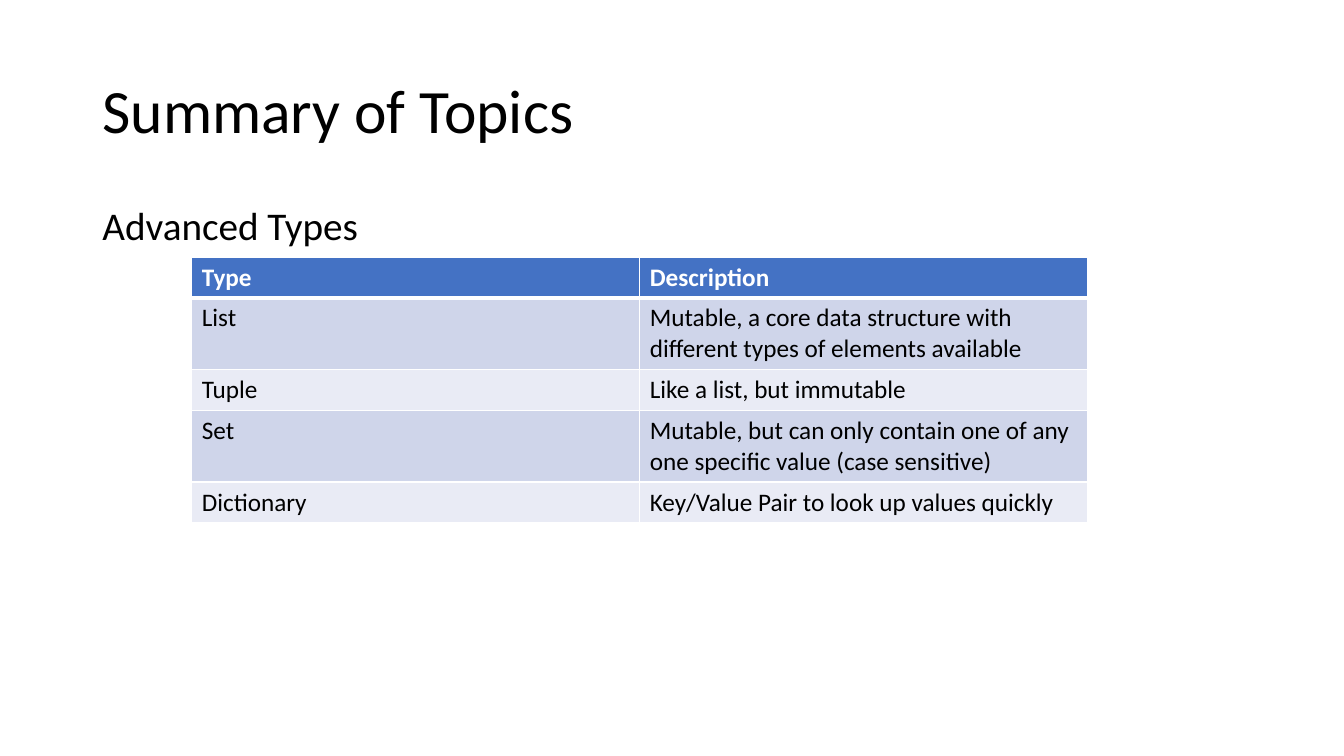
"""Build the summary slide about advanced types."""
from lxml.etree import SubElement
from pptx import Presentation
from pptx.dml.color import RGBColor
from pptx.enum.text import MSO_ANCHOR, MSO_AUTO_SIZE, PP_ALIGN
from pptx.oxml.ns import qn
from pptx.util import Pt

COLORS = {
    "black": "000000",
    "white": "FFFFFF",
    "header": "4472C4",
    "odd_row": "CFD5EA",
    "even_row": "E9EBF5",
}
FONT = "Calibri"
TYPE_ROWS = [
    ("Type", "Description"),
    ("List", "Mutable, a core data structure with different types of elements available"),
    ("Tuple", "Like a list, but immutable"),
    ("Set", "Mutable, but can only contain one of any one specific value (case sensitive)"),
    ("Dictionary", "Key/Value Pair to look up values quickly"),
]


def format_runs(paragraph, size, color, bold=False):
    for run in paragraph.runs:
        run.font.name = FONT
        run.font.size = Pt(size)
        run.font.bold = bold
        run.font.color.rgb = RGBColor.from_string(COLORS[color])


def fill_placeholder(shape, text, box, size, anchor, space_before=0):
    shape.left, shape.top, shape.width, shape.height = map(Pt, box)
    text_frame = shape.text_frame
    text_frame.text = text
    text_frame.word_wrap = True
    text_frame.auto_size = MSO_AUTO_SIZE.NONE
    text_frame.vertical_anchor = anchor
    paragraph = text_frame.paragraphs[0]
    paragraph.alignment = PP_ALIGN.LEFT
    paragraph.line_spacing = 0.9
    paragraph.space_before = Pt(space_before)
    format_runs(paragraph, size, "black")
    return paragraph


def remove_bullet(paragraph):
    properties = paragraph._p.get_or_add_pPr()
    properties.set("marL", "0")
    properties.set("indent", "0")
    SubElement(properties, qn("a:buNone"))


def set_borders(cell, widths):
    properties = cell._tc.get_or_add_tcPr()
    for position, (side, width) in enumerate(widths.items()):
        line = SubElement(properties, qn(f"a:ln{side}"), w=str(Pt(width)))
        fill = SubElement(line, qn("a:solidFill"))
        SubElement(fill, qn("a:srgbClr"), val=COLORS["white"])
        properties.insert(position, line)


def format_cell(cell, text, row_index):
    is_header = row_index == 0
    row_fill = "odd_row" if row_index % 2 else "even_row"
    cell.text_frame.text = text
    format_runs(cell.text_frame.paragraphs[0], 18,
                "white" if is_header else "black", is_header)
    cell.fill.solid()
    cell.fill.fore_color.rgb = RGBColor.from_string(
        COLORS["header" if is_header else row_fill])
    set_borders(cell, {"L": 1, "R": 1,
                       "T": 3 if row_index == 1 else 1,
                       "B": 3 if is_header else 1})


def add_type_table(slide, left, top, column_width, row_height):
    row_count, column_count = len(TYPE_ROWS), len(TYPE_ROWS[0])
    table = slide.shapes.add_table(
        row_count, column_count, Pt(left), Pt(top),
        Pt(column_width * column_count), Pt(row_height * row_count)).table
    for row_index, texts in enumerate(TYPE_ROWS):
        for column_index, text in enumerate(texts):
            format_cell(table.cell(row_index, column_index), text, row_index)


def main():
    presentation = Presentation()
    presentation.slide_width, presentation.slide_height = Pt(960), Pt(540)
    slide = presentation.slides.add_slide(presentation.slide_layouts[1])
    fill_placeholder(slide.shapes.title, "Summary of Topics",
                     (66, 28.75, 828, 104.4), 44, MSO_ANCHOR.MIDDLE)
    heading = fill_placeholder(slide.placeholders[1], "Advanced Types",
                               (66, 143.75, 828, 342.6), 28, MSO_ANCHOR.TOP, 10)
    remove_bullet(heading)
    add_type_table(slide, 137, 183.6, 320, 29.2)
    presentation.save("out.pptx")


if __name__ == "__main__":
    main()
